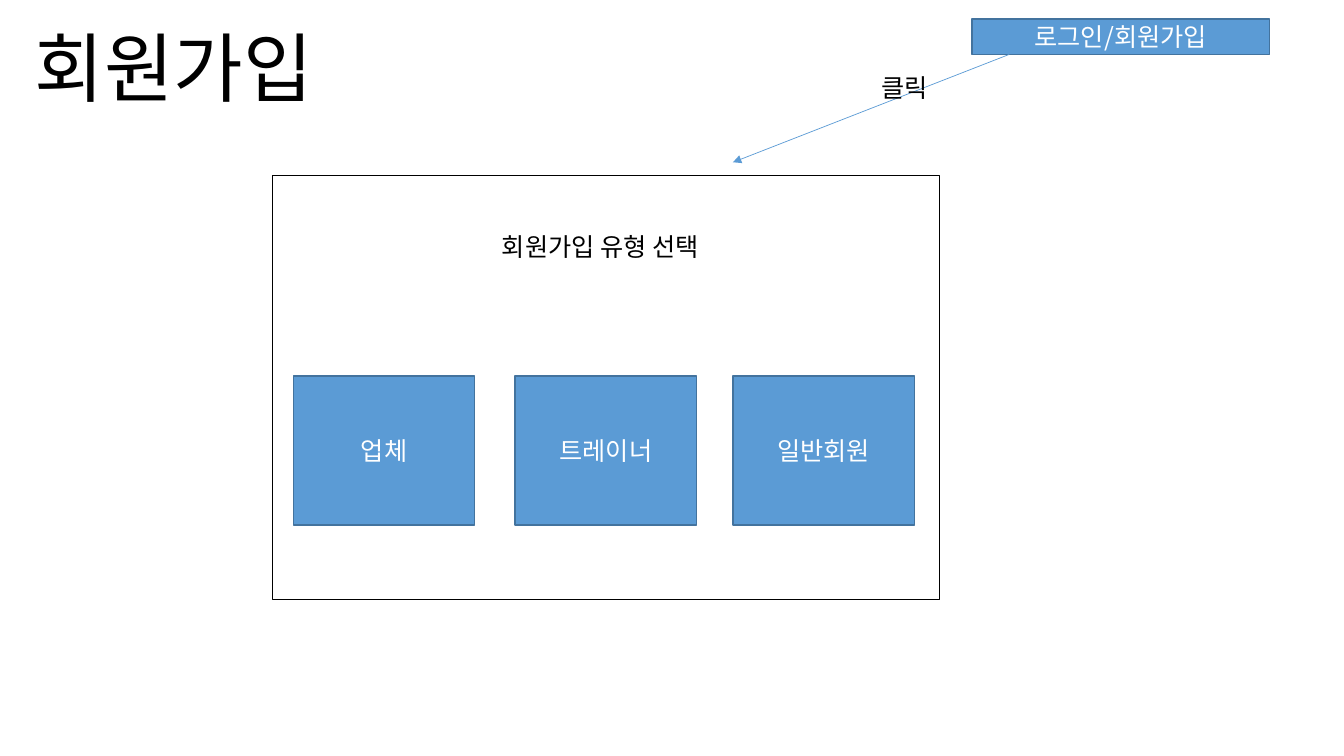
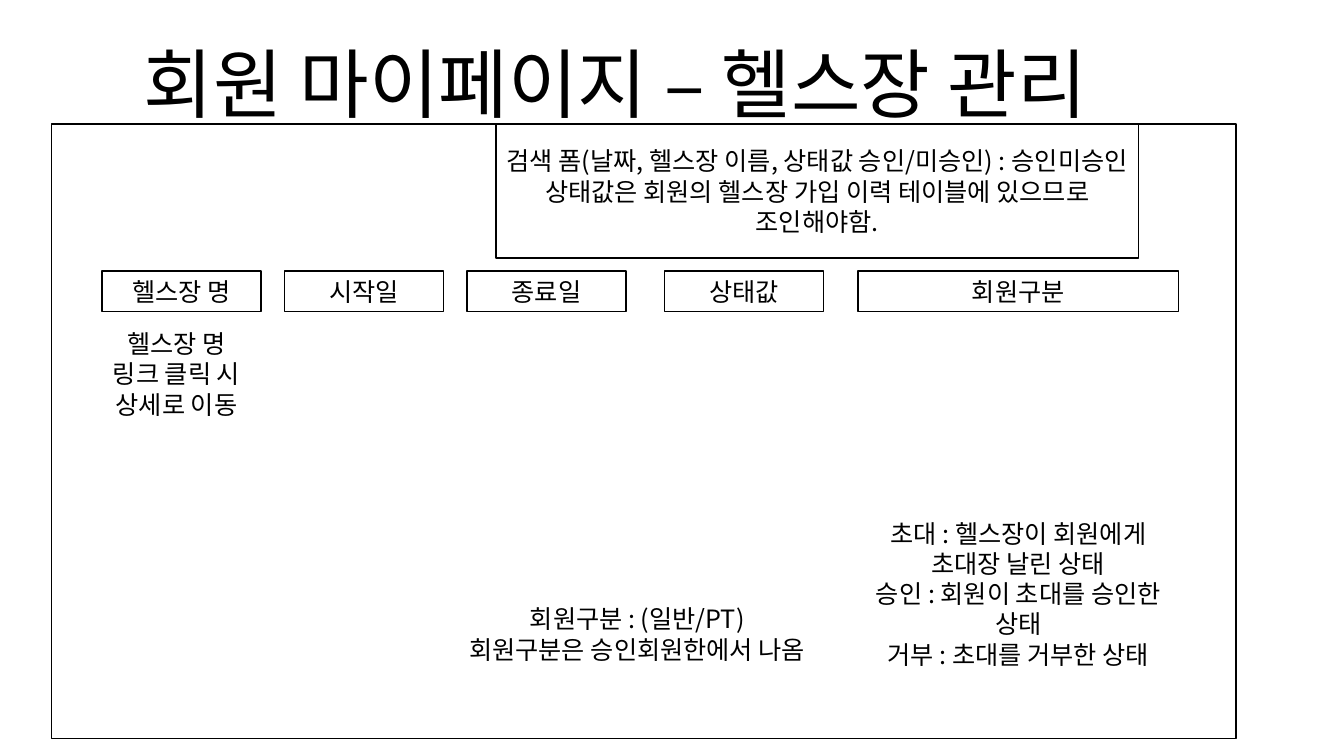
from lxml.etree import SubElement
from pptx import Presentation
from pptx.dml.color import RGBColor
from pptx.enum.shapes import MSO_CONNECTOR, MSO_SHAPE
from pptx.enum.text import MSO_ANCHOR, MSO_AUTO_SIZE, PP_ALIGN
from pptx.oxml.ns import qn
from pptx.util import Inches, Pt

FONT = "Noto Sans CJK KR"
BLACK, WHITE, BLUE, DARK_BLUE = "000000", "FFFFFF", "5B9BD5", "43739E"
BUTTON = {"fill": BLUE, "line": DARK_BLUE, "color": WHITE}
PANEL = {"fill": WHITE, "line": BLACK, "color": BLACK}


def rgb(value):
    """Turn a hex string into a colour."""
    return RGBColor.from_string(value)


def write(box, lines, color=BLACK, size=18, align=PP_ALIGN.CENTER, **frame_format):
    """Fill a shape with one paragraph per line in the shared font."""
    frame = box.text_frame
    settings = {"word_wrap": True, "vertical_anchor": MSO_ANCHOR.TOP, **frame_format}
    for name, value in settings.items():
        setattr(frame, name, value)
    for index, line in enumerate(lines):
        para = frame.paragraphs[0] if index == 0 else frame.add_paragraph()
        para.alignment = align
        span = para.add_run()
        span.text = line
        for name, value in {"name": FONT, "size": Pt(size)}.items():
            setattr(span.font, name, value)
        span.font.color.rgb = rgb(color)
        east_asian = SubElement(span.font._element, qn("a:ea"))
        east_asian.set("typeface", FONT)


def add_page(deck, title, left, top, width):
    """Add a title-only slide with its title set in large type."""
    page = deck.slides.add_slide(deck.slide_layouts[5])
    box = page.shapes.title
    place = {"left": left, "top": top, "width": width, "height": 1.01}
    for name, value in place.items():
        setattr(box, name, Inches(value))
    write(box, [title], size=54, word_wrap=False, auto_size=MSO_AUTO_SIZE.NONE)
    return page


def add_box(page, place, style, text=None):
    """Add an outlined rectangle with optional centred text."""
    box = page.shapes.add_shape(MSO_SHAPE.RECTANGLE, *map(Inches, place))
    box.shadow.inherit = False
    box.fill.solid()
    box.fill.fore_color.rgb = rgb(style["fill"])
    box.line.color.rgb = rgb(style["line"])
    box.line.width = Pt(1)
    if text:
        write(box, [text], style["color"], vertical_anchor=MSO_ANCHOR.MIDDLE)


def add_note(page, place, *lines, align=PP_ALIGN.CENTER):
    """Add a plain wrapped text box."""
    box = page.shapes.add_textbox(*map(Inches, place))
    write(box, lines, align=align)


def add_arrow(page, start, end):
    """Add a thin line with an arrowhead at its end."""
    arrow = page.shapes.add_connector(MSO_CONNECTOR.STRAIGHT, *map(Inches, start + end))
    arrow.line.color.rgb = rgb(BLUE)
    arrow.line.width = Pt(0.5)
    SubElement(arrow.line._get_or_add_ln(), qn("a:tailEnd")).set("type", "triangle")
    SubElement(arrow._element.spPr, qn("a:effectLst"))


def build_sign_up(deck):
    """Build the page where a visitor picks a member type."""
    page = add_page(deck, "회원가입", 0.11, 0.16, 3.23)
    add_box(page, (9.64, 0.19, 2.95, 0.35), BUTTON, "로그인/회원가입")
    add_arrow(page, (10.01, 0.54), (7.27, 1.61))
    add_note(page, (8.64, 0.67, 0.72, 0.4), "클릭", align=PP_ALIGN.LEFT)
    add_box(page, (2.7, 1.74, 6.62, 4.21), PANEL)
    add_note(page, (4.14, 2.25, 3.63, 0.4), "회원가입 유형 선택")
    for left, member_type in ((2.91, "업체"), (5.11, "트레이너"), (7.27, "일반회원")):
        add_box(page, (left, 3.73, 1.8, 1.48), BUTTON, member_type)


def build_gym_management(deck):
    """Build the page where a member manages gyms."""
    page = add_page(deck, "회원 마이페이지 – 헬스장 관리", 0.73, 0.32, 10.74)
    add_box(page, (0.51, 1.23, 11.75, 6.1), PANEL)
    add_box(page, (4.92, 1.23, 6.37, 1.33), PANEL,
            "검색 폼(날짜, 헬스장 이름, 상태값 승인/미승인) : "
            "승인미승인 상태값은 회원의 헬스장 가입 이력 테이블에 있으므로 조인해야함.")
    columns = (
        (1.01, 1.58, "헬스장 명"),
        (2.82, 1.58, "시작일"),
        (4.63, 1.58, "종료일"),
        (6.59, 1.58, "상태값"),
        (8.51, 3.18, "회원구분"),
    )
    for left, width, heading in columns:
        add_box(page, (left, 2.69, width, 0.4), PANEL, heading)
    add_note(page, (8.51, 5.09, 3.18, 1.92),
             "초대 : 헬스장이 회원에게 초대장 날린 상태",
             "승인 : 회원이 초대를 승인한 상태",
             "거부 : 초대를 거부한 상태")
    add_note(page, (4.32, 5.94, 4, 1.01),
             "회원구분 : (일반/PT)", "회원구분은 승인회원한에서 나옴")
    add_note(page, (0.91, 3.21, 1.68, 1.01), "헬스장 명 링크 클릭 시 상세로 이동")


def main():
    """Build both slides and save the deck."""
    deck = Presentation()
    deck.slide_width, deck.slide_height = Inches(13.33), Inches(7.5)
    build_sign_up(deck)
    build_gym_management(deck)
    deck.save("out.pptx")


main()
